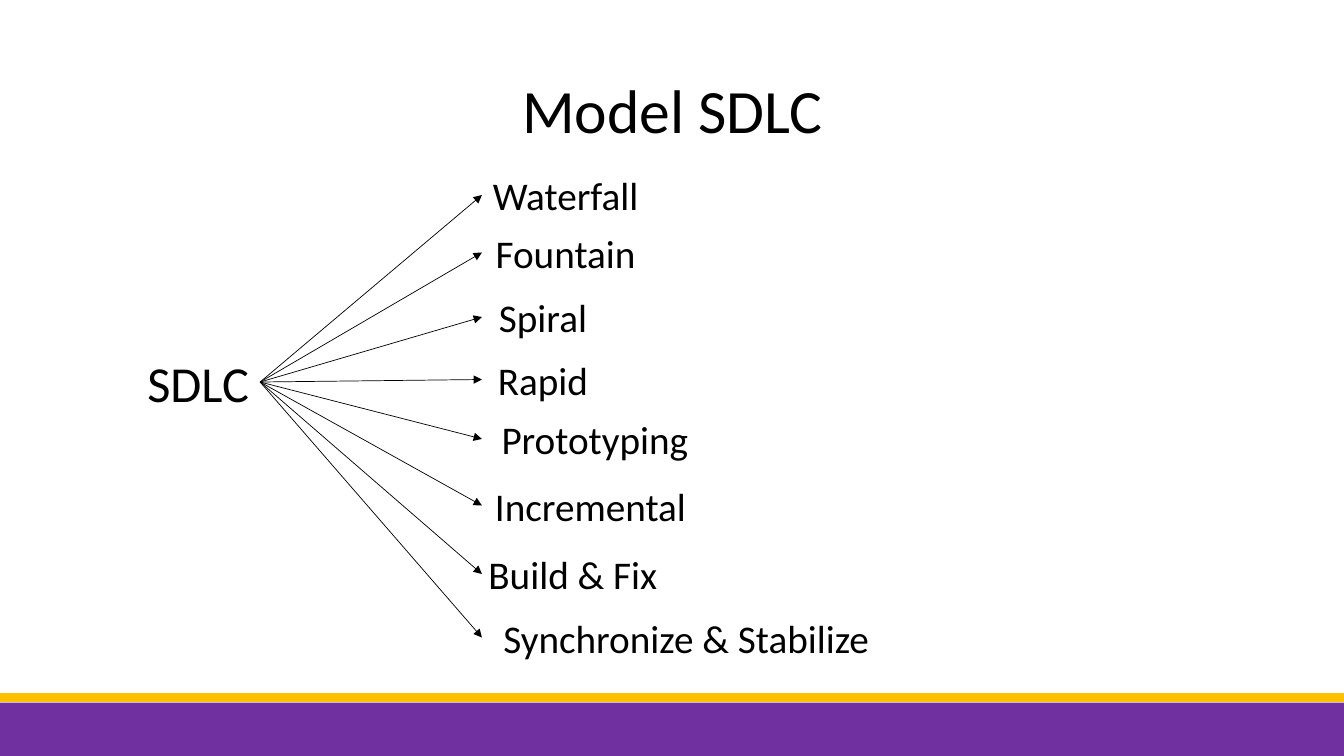
"""Build the SDLC model slide: one root term with arrows to eight models."""
from dataclasses import dataclass

from lxml.etree import SubElement
from pptx import Presentation
from pptx.dml.color import RGBColor
from pptx.enum.shapes import MSO_CONNECTOR, MSO_SHAPE
from pptx.enum.text import MSO_ANCHOR, PP_ALIGN
from pptx.oxml.ns import qn
from pptx.util import Inches, Pt


@dataclass(frozen=True)
class Theme:
    font: str = "Calibri"
    ink: RGBColor = RGBColor(0x00, 0x00, 0x00)
    purple: RGBColor = RGBColor(0x70, 0x30, 0xA0)
    gold: RGBColor = RGBColor(0xFF, 0xC0, 0x00)
    title_size: int = 44
    root_size: int = 36
    model_size: int = 28


def write_text(box, text, size):
    frame = box.text_frame
    frame.word_wrap = True
    frame.vertical_anchor = MSO_ANCHOR.MIDDLE
    frame.margin_left = frame.margin_right = 0
    frame.margin_top = frame.margin_bottom = 0
    frame.text = text
    para = frame.paragraphs[0]
    para.alignment = PP_ALIGN.CENTER
    font = para.runs[0].font
    font.name = theme.font
    font.size = Pt(size)
    font.color.rgb = theme.ink


def draw_line(start, end, color, width):
    line = page.shapes.add_connector(
        MSO_CONNECTOR.STRAIGHT, *[Inches(value) for value in (*start, *end)])
    line.line.color.rgb = color
    line.line.width = Pt(width)
    SubElement(line._element.spPr, qn("a:effectLst"))
    return line


theme = Theme()
deck = Presentation()
deck.slide_width = Inches(13.33)
deck.slide_height = Inches(7.5)
page = deck.slides.add_slide(deck.slide_layouts[5])

title = page.shapes.title
title.left, title.top = Inches(0.92), Inches(0.4)
title.width, title.height = Inches(11.5), Inches(1.45)
write_text(title, "Model SDLC", theme.title_size)
title.text_frame.paragraphs[0].line_spacing = 0.9

footer = page.shapes.add_shape(
    MSO_SHAPE.RECTANGLE, 0, Inches(6.97), deck.slide_width, Inches(0.53))
footer.shadow.inherit = False
footer.fill.solid()
footer.fill.fore_color.rgb = theme.purple
footer.line.fill.background()
draw_line((-0.02, 6.92), (13.33, 6.92), theme.gold, 6)

root = page.shapes.add_textbox(
    Inches(1.36), Inches(3.52), Inches(1.21), Inches(0.54))
write_text(root, "SDLC", theme.root_size)

models = [
    ("Waterfall", 1.68, 1.66),
    ("Fountain", 2.25, 1.66),
    ("Spiral", 2.89, 1.21),
    ("Rapid", 3.51, 1.21),
    ("Prototyping", 4.1, 2.24),
    ("Incremental ", 4.76, 2.24),
    ("Build & Fix ", 5.44, 1.89),
    ("Synchronize & Stabilize", 6.07, 4.05),
]
model_left = 4.78
model_height = 0.51
arrow_start = (2.58, 3.79)

for name, top, width in models:
    box = page.shapes.add_textbox(
        Inches(model_left), Inches(top), Inches(width), Inches(model_height))
    write_text(box, name, theme.model_size)
    arrow = draw_line(
        arrow_start, (model_left, top + model_height / 2), theme.ink, 0.5)
    SubElement(arrow.line._get_or_add_ln(), qn("a:tailEnd"), type="triangle")

deck.save("out.pptx")
